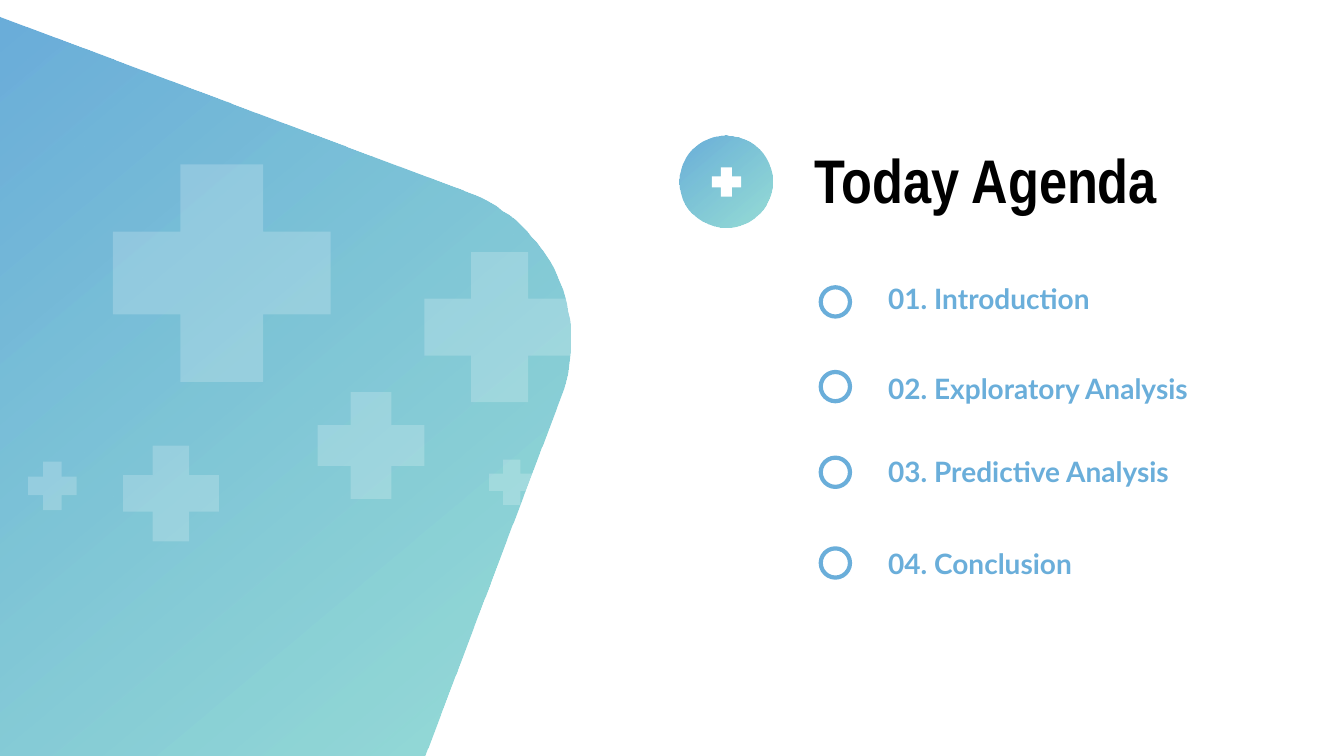
"""Builds an agenda slide with a gradient panel, a badge and four ringed items."""
import pptx
import pptx.dml.color
import pptx.enum.shapes
import pptx.enum.text
import pptx.oxml
import pptx.oxml.ns
import pptx.util

PX = 9144
BLUE, TEAL, WHITE, BLACK = "6AAEDA", "66CAC5", "FFFFFF", "000000"
OVAL = pptx.enum.shapes.MSO_SHAPE.OVAL
CROSS = pptx.enum.shapes.MSO_SHAPE.CROSS
ITEMS = [
    ("01. Introduction", 235, 274, 285),
    ("02. Exploratory Analysis", 379, 364, 369),
    ("03. Predictive Analysis", 361, 446, 454),
    ("04. Conclusion", 268, 537, 544),
]
PLUSES = [(112, 163, 216), (421, 250, 149), (315, 389, 106),
          (122, 442, 95), (485, 456, 45), (28, 458, 48)]


def px(*nums):
    """Turn pixel lengths into EMU."""
    return [pptx.util.Emu(n * PX) for n in nums]


def tint(color, code):
    """Set a colour from a hex string."""
    color.rgb = pptx.dml.color.RGBColor.from_string(code)


def fade(shape, share):
    """Set the opacity in percent of the last colour in the fill of a shape."""
    node = list(shape._element.spPr.iter(pptx.oxml.ns.qn("a:srgbClr")))[-1]
    space = pptx.oxml.ns.nsdecls("a")
    node.append(pptx.oxml.parse_xml(f'<a:alpha {space} val="{share * 1000}"/>'))


def plain(shape, code):
    """Give a shape a solid fill with no line or shadow."""
    shape.shadow.inherit = False
    shape.line.fill.background()
    shape.fill.solid()
    tint(shape.fill.fore_color, code)


def blend(shape):
    """Give a shape the blue to teal gradient."""
    shape.shadow.inherit = False
    shape.line.fill.background()
    shape.fill.gradient()
    shape.fill.gradient_angle = 310
    for stop, code, spot in zip(shape.fill.gradient_stops, (BLUE, TEAL), (0, 1)):
        tint(stop.color, code)
        stop.position = spot
    fade(shape, 68)


def write(frame, text, font="Lato", size=20, color=BLUE, wrap=True,
          anchor=pptx.enum.text.MSO_ANCHOR.TOP,
          fit=pptx.enum.text.MSO_AUTO_SIZE.NONE):
    """Put one bold left-aligned line of text into a frame."""
    frame.text = text
    frame.word_wrap = wrap
    frame.auto_size = fit
    frame.vertical_anchor = anchor
    frame.margin_left, frame.margin_right = px(10, 10)
    frame.margin_top, frame.margin_bottom = px(5, 5)
    para = frame.paragraphs[0]
    para.alignment = pptx.enum.text.PP_ALIGN.LEFT
    run = para.runs[0].font
    run.name, run.size, run.bold = font, pptx.util.Pt(size), True
    tint(run.color, color)


def plus(shapes, x, y, side):
    """Draw a white plus sign in a square."""
    sign = shapes.add_shape(CROSS, *px(x, y, side, side))
    sign.adjustments[0] = 0.31
    plain(sign, WHITE)
    return sign


def curve(ends, steps=32):
    """List points along a cubic curve."""
    points = []
    for i in range(1, steps + 1):
        t = i / steps
        parts = ((1 - t) ** 3, 3 * t * (1 - t) ** 2, 3 * t * t * (1 - t), t ** 3)
        points.append(tuple(sum(p * end[k] for p, end in zip(parts, ends))
                            for k in (0, 1)))
    return points


def panel(slide, x, y, w, h):
    """Draw the rounded gradient panel and its faint plus signs."""
    ends = [(x + 463, y + 174), (x + 545, y + 205),
            (x + 587, y + 296), (x + 556, y + 378)]
    path = slide.shapes.build_freeform(x, y, scale=PX)
    path.add_line_segments([ends[0], *curve(ends), (x + w, y + h), (x, y + h)])
    blend(path.convert_to_shape())
    group = slide.shapes.add_group_shape()
    for left, top, side in PLUSES:
        fade(plus(group.shapes, x + left, top, side), 20)


def badge(slide, x, y, side):
    """Draw the round badge with a plus sign in its centre."""
    group = slide.shapes.add_group_shape()
    blend(group.shapes.add_shape(OVAL, *px(x, y, side, side)))
    core = 29
    gap = (side - core) // 2
    plus(group.shapes, x + gap + 1, y + gap + 1, core)


def head(slide, x, y, w, h):
    """Place the slide title."""
    title = slide.shapes.title
    title.left, title.top, title.width, title.height = px(x, y, w, h)
    write(title.text_frame, "Today Agenda", font="Arial Narrow", size=44,
          color=BLACK, anchor=pptx.enum.text.MSO_ANCHOR.MIDDLE)


def agenda(slide, x, side):
    """Place each agenda item beside its ring."""
    for text, wide, top, ring in ITEMS:
        box = slide.shapes.add_textbox(*px(x + 57, top, wide, 44))
        write(box.text_frame, text)
        dot = slide.shapes.add_shape(OVAL, *px(x, ring, side, side))
        plain(dot, WHITE)
        tint(dot.line.color, BLUE)
        dot.line.width = pptx.util.Pt(3)


def main():
    """Build and save the slide."""
    deck = pptx.Presentation()
    deck.slide_width, deck.slide_height = px(1333, 750)
    slide = deck.slides.add_slide(deck.slide_layouts[5])
    panel(slide, 0, 16, 421, 736)
    badge(slide, 674, 134, 92)
    head(slide, 798, 135, 452, 84)
    agenda(slide, 814, 29)
    deck.save("out.pptx")


if __name__ == "__main__":
    main()
